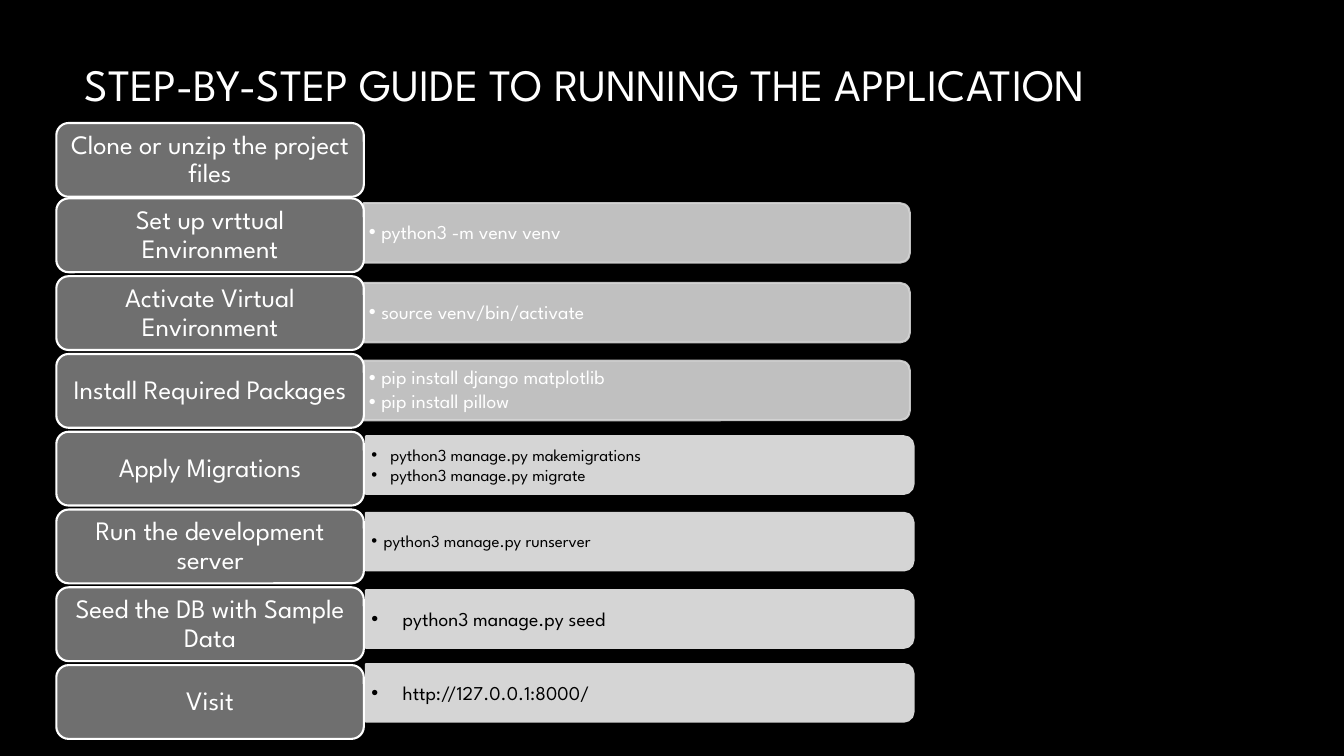
from lxml import etree
from pptx import Presentation
from pptx.dml.color import RGBColor
from pptx.enum.shapes import MSO_SHAPE
from pptx.enum.text import MSO_ANCHOR, PP_ALIGN
from pptx.oxml.ns import qn
from pptx.util import Cm, Pt

ROUNDED = MSO_SHAPE.ROUNDED_RECTANGLE
ROUNDED_END = MSO_SHAPE.ROUND_2_SAME_RECTANGLE
MIDDLE = MSO_ANCHOR.MIDDLE
CENTER, LEFT = PP_ALIGN.CENTER, PP_ALIGN.LEFT

BLACK = RGBColor(0x00, 0x00, 0x00)
WHITE = RGBColor(0xFF, 0xFF, 0xFF)
DARK_GRAY = RGBColor(0x6F, 0x6F, 0x6F)
LIGHT_GRAY = RGBColor(0xD5, 0xD5, 0xD5)
FONT = "League Spartan"

TITLE = "STEP-BY-STEP GUIDE TO RUNNING THE APPLICATION"
STEPS = [
    "Clone or unzip the project files",
    "Set up vrttual Environment",
    "Activate Virtual Environment",
    "Install Required Packages",
    "Apply Migrations",
    "Run the development server",
    "Seed the DB with Sample Data",
    "Visit",
]

UPPER = {"left": 9.16, "width": 13.77, "height": 1.5, "color": WHITE, "opacity": 90}
LOWER = {"left": 9.22, "width": 13.8, "height": 1.45, "color": BLACK, "opacity": 100}
# centre, commands, size, indent, line spacing, space after, style
COMMANDS = [
    (5.87, ["python3 -m venv venv"], 14, 0.31, 0.9, 2, UPPER),
    (7.88, ["source venv/bin/activate"], 14, 0.31, 0.9, 2, UPPER),
    (9.84, ["pip install django matplotlib", "pip install pillow"], 14, 0.31, 0.9, 2, UPPER),
    (11.72, ["python3 manage.py makemigrations", "python3 manage.py migrate"],
     12, 0.48, 1.0, 0, LOWER),
    (13.65, ["python3 manage.py runserver"], 12, 0.31, 0.9, 2, LOWER),
    (15.6, ["python3 manage.py seed"], 14, 0.79, 1.0, 0, LOWER),
    (17.46, ["http://127.0.0.1:8000/"], 14, 0.79, 1.0, 0, LOWER),
]

STEP_LEFT, STEP_WIDTH, STEP_HEIGHT = 1.42, 7.75, 1.86
FIRST_TOP, SECOND_TOP, STEP_PITCH = 3.1, 5.0, 1.96


def format_font(paragraph, size, color):
    paragraph.font.name = FONT
    paragraph.font.size = Pt(size)
    paragraph.font.bold = False
    paragraph.font.color.rgb = color


def set_frame(frame, horizontal, vertical):
    frame.word_wrap = True
    frame.vertical_anchor = MIDDLE
    frame.margin_left = frame.margin_right = Cm(horizontal)
    frame.margin_top = frame.margin_bottom = Cm(vertical)


def add_panel(slide, kind, left, top, width, height, fill, line):
    shape = slide.shapes.add_shape(kind, Cm(left), Cm(top), Cm(width), Cm(height))
    shape.shadow.inherit = False
    shape.fill.solid()
    shape.fill.fore_color.rgb = fill
    shape.line.color.rgb = line
    shape.line.width = Pt(1.5)
    return shape


def add_bar(slide, center, style):
    length, thickness = style["width"], style["height"]
    left = style["left"] + (length - thickness) / 2
    bar = add_panel(slide, ROUNDED_END, left, center - length / 2,
                    thickness, length, LIGHT_GRAY, LIGHT_GRAY)
    bar.rotation = 90
    if style["opacity"] < 100:
        for color in bar._element.spPr.iter(qn("a:srgbClr")):
            etree.SubElement(color, qn("a:alpha"), val=str(style["opacity"] * 1000))


def add_commands(slide, center, commands, size, indent, spacing, after, style):
    box = slide.shapes.add_textbox(
        Cm(style["left"]), Cm(center - style["height"] / 2),
        Cm(style["width"]), Cm(style["height"]))
    frame = box.text_frame
    set_frame(frame, 0.14, 0.08)
    frame.text = "\n".join(commands)
    for paragraph in frame.paragraphs:
        properties = paragraph._p.get_or_add_pPr()
        properties.set("marL", str(Cm(indent)))
        properties.set("indent", str(-Cm(indent)))
        etree.SubElement(properties, qn("a:buFont"), typeface="Arial")
        etree.SubElement(properties, qn("a:buChar"), char="•")
        paragraph.alignment = LEFT
        paragraph.line_spacing = spacing
        paragraph.space_after = Pt(after)
        format_font(paragraph, size, style["color"])


def add_step(slide, top, label):
    box = add_panel(slide, ROUNDED, STEP_LEFT, top, STEP_WIDTH, STEP_HEIGHT,
                    DARK_GRAY, WHITE)
    set_frame(box.text_frame, 0.2, 0.1)
    box.text_frame.text = label
    paragraph = box.text_frame.paragraphs[0]
    paragraph.alignment = CENTER
    paragraph.line_spacing = 0.9
    format_font(paragraph, 19, WHITE)


def main():
    presentation = Presentation()
    presentation.slide_width, presentation.slide_height = Cm(33.87), Cm(19.05)
    slide = presentation.slides.add_slide(presentation.slide_layouts[5])
    slide.background.fill.solid()
    slide.background.fill.fore_color.rgb = BLACK

    title = slide.shapes.title
    title.left, title.top, title.width, title.height = Cm(1.88), Cm(-0.53), Cm(31.5), Cm(5.28)
    title.text_frame.text = TITLE
    title.text_frame.vertical_anchor = MIDDLE
    heading = title.text_frame.paragraphs[0]
    heading.alignment = LEFT
    format_font(heading, 32, WHITE)

    for center, commands, size, indent, spacing, after, style in COMMANDS:
        add_bar(slide, center, style)
        add_commands(slide, center, commands, size, indent, spacing, after, style)

    for index, label in enumerate(STEPS):
        top = SECOND_TOP + (index - 1) * STEP_PITCH if index else FIRST_TOP
        add_step(slide, top, label)

    presentation.save("out.pptx")


if __name__ == "__main__":
    main()
